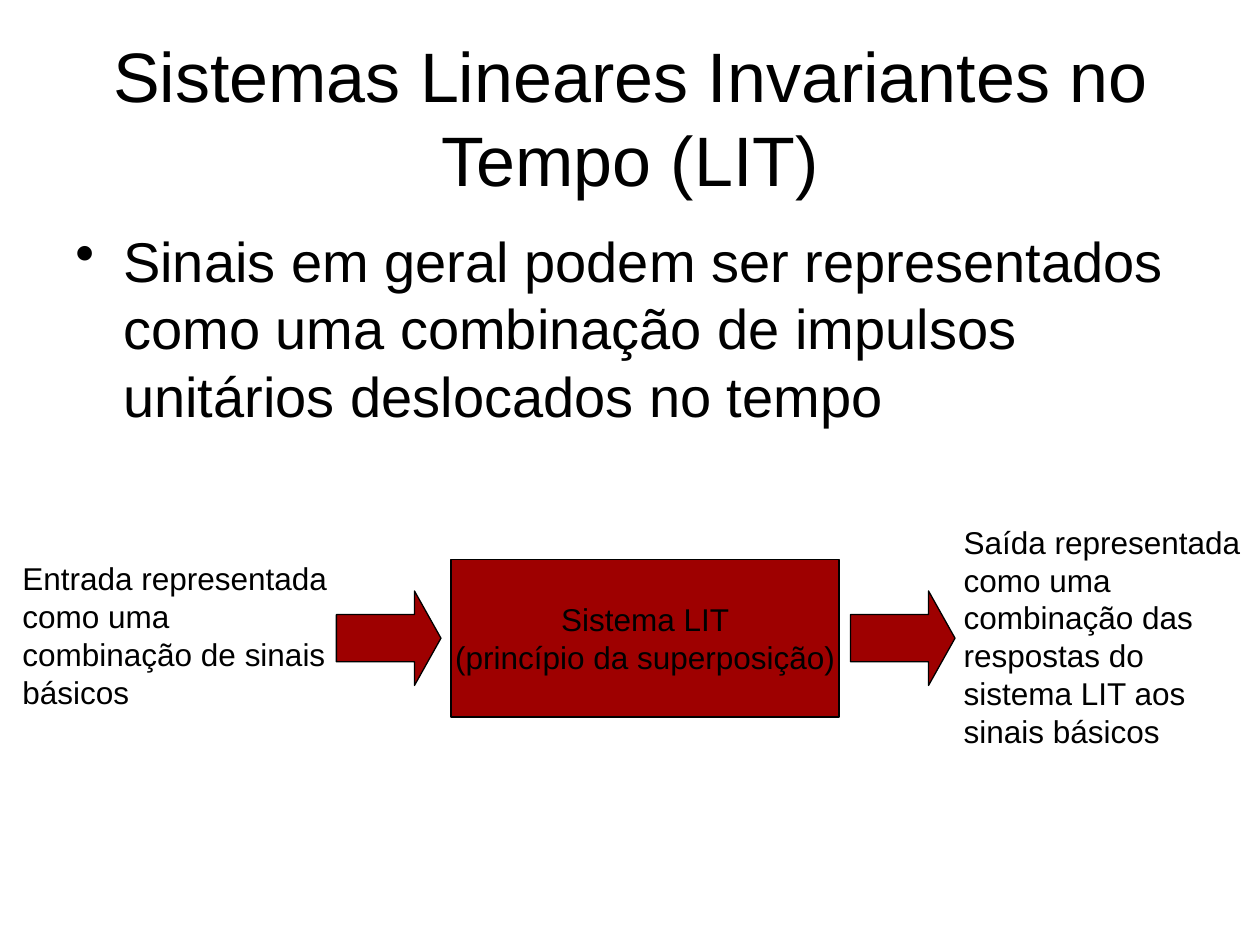
from dataclasses import dataclass

from lxml.etree import SubElement
from pptx import Presentation
from pptx.dml.color import RGBColor
from pptx.enum.shapes import MSO_SHAPE
from pptx.enum.text import MSO_ANCHOR, PP_ALIGN
from pptx.oxml.ns import qn
from pptx.util import Inches, Pt

BLACK = "000000"
DARK_RED = "9E0000"


@dataclass
class Box:
    left: float
    top: float
    width: float
    height: float

    def lengths(self):
        return [Inches(n) for n in (self.left, self.top, self.width, self.height)]


@dataclass
class Label:
    box: Box
    lines: list[str]
    size: int = 18
    align: PP_ALIGN = PP_ALIGN.LEFT
    anchor: MSO_ANCHOR = MSO_ANCHOR.TOP
    wrap: bool = False


def color(value: str) -> RGBColor:
    return RGBColor.from_string(value)


def write_text(shape, label: Label) -> None:
    frame = shape.text_frame
    frame.word_wrap = label.wrap
    frame.vertical_anchor = label.anchor
    frame.text = "\n".join(label.lines)
    for paragraph in frame.paragraphs:
        paragraph.alignment = label.align
        paragraph.font.name = "Arial"
        paragraph.font.size = Pt(label.size)
        paragraph.font.color.rgb = color(BLACK)


def add_label(slide, label: Label):
    shape = slide.shapes.add_textbox(*label.box.lengths())
    write_text(shape, label)
    return shape


def add_block(slide, kind: MSO_SHAPE, box: Box):
    shape = slide.shapes.add_shape(kind, *box.lengths())
    shape.shadow.inherit = False
    shape.fill.solid()
    shape.fill.fore_color.rgb = color(DARK_RED)
    shape.line.color.rgb = color(BLACK)
    shape.line.width = Pt(0.75)
    return shape


def add_bullet(paragraph, indent: float) -> None:
    properties = paragraph._p.get_or_add_pPr()
    properties.set("marL", str(Inches(indent)))
    properties.set("indent", str(-Inches(indent)))
    bullet = SubElement(properties, qn("a:buChar"))
    bullet.set("char", "•")
    # The bullet comes before the default run properties
    properties.find(qn("a:defRPr")).addprevious(bullet)


def main() -> None:
    presentation = Presentation()
    presentation.slide_width, presentation.slide_height = Inches(10), Inches(7.5)
    slide = presentation.slides.add_slide(presentation.slide_layouts[6])

    # Title and main statement
    add_label(slide, Label(
        Box(0.5, 0.3, 9, 1.25), ["Sistemas Lineares Invariantes no Tempo (LIT)"],
        40, PP_ALIGN.CENTER, MSO_ANCHOR.MIDDLE, wrap=True))
    body = add_label(slide, Label(
        Box(0.5, 1.75, 9, 4.95),
        ["Sinais em geral podem ser representados como uma combinação "
         "de impulsos unitários deslocados no tempo"], 32, wrap=True))
    statement = body.text_frame.paragraphs[0]
    statement.space_before = Pt(8)
    add_bullet(statement, 0.38)

    # System block with its input and output arrows
    system = Label(
        Box(3.58, 4.44, 3.08, 1.25), ["Sistema LIT", "(princípio da superposição)"],
        align=PP_ALIGN.CENTER, anchor=MSO_ANCHOR.MIDDLE)
    write_text(add_block(slide, MSO_SHAPE.RECTANGLE, system.box), system)
    for left in (2.67, 6.75):
        arrow = add_block(slide, MSO_SHAPE.RIGHT_ARROW, Box(left, 4.69, 0.83, 0.75))
        arrow.adjustments[1] = 0.28

    # Input and output descriptions
    add_label(slide, Label(
        Box(0.08, 4.39, 2.69, 1.3),
        ["Entrada representada", "como uma", "combinação de sinais", "básicos"]))
    add_label(slide, Label(
        Box(7.55, 4.1, 2.46, 1.9),
        ["Saída representada", "como uma", "combinação das", "respostas do",
         "sistema LIT aos", "sinais básicos"]))

    presentation.save("out.pptx")


if __name__ == "__main__":
    main()
